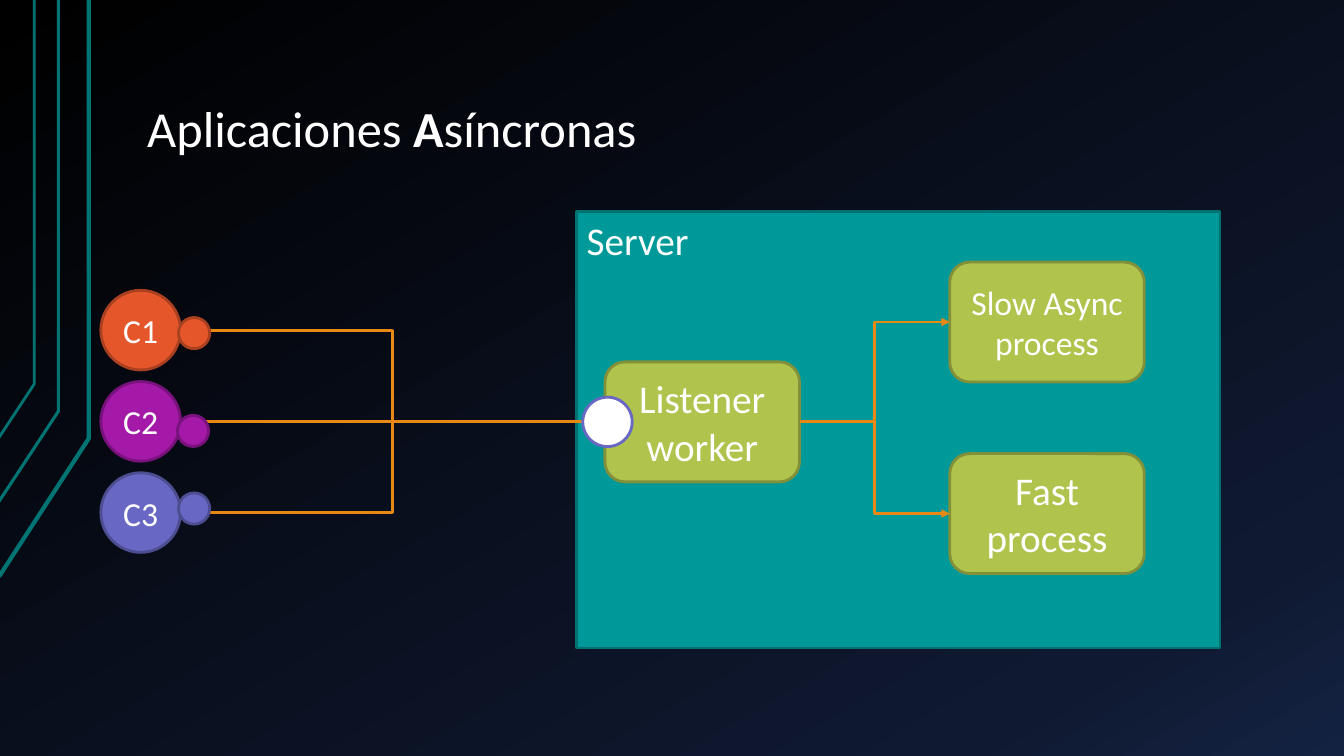
"""Builds the slide on asynchronous applications with python-pptx."""
from copy import deepcopy
from dataclasses import dataclass

from pptx import Presentation
from pptx.dml.color import RGBColor
from pptx.enum.shapes import MSO_CONNECTOR as Connector, MSO_SHAPE as Shape
from pptx.enum.text import MSO_ANCHOR as Anchor, PP_ALIGN as Align
from pptx.oxml.ns import qn
from pptx.util import Inches, Pt
from lxml.etree import SubElement


@dataclass(frozen=True)
class Theme:
    """Colours, type sizes and line widths of the slide."""
    font: str = "Calibri"
    text: str = "FFFFFF"
    rail: str = "007373"
    wire: str = "E98915"
    server: tuple = ("009999", "007171")
    process: tuple = ("AFC34D", "819039")
    socket: tuple = ("FFFFFF", "6868C4")
    background: tuple = ((0, "000000"), (0.85, "0F1931"), (1, "142242"))
    angle: int = 60
    title_size: int = 36
    large: int = 28
    small: int = 24
    line: int = 2


THEME = Theme()
TITLE = (("Aplicaciones ", False), ("A", True), ("síncronas", False))
RAILS = (
    (3, ((-0.01, 5.72), (0.88, 4.35), (0.88, 0))),
    (2.25, ((-0.02, 4.99), (0.58, 4.08), (0.58, 0))),
    (2, ((-0.01, 4.34), (0.34, 3.81), (0.34, 0))),
)
CLIENTS = (
    ("C1", ("E5572B", "A94020"), (1.77, 3.15)),
    ("C2", ("A419A7", "79127C"), (1.76, 4.12)),
    ("C3", ("6868C4", "4D4D91"), (1.77, 4.89)),
)
CLIENT_LEFT, CLIENT_TOP, CLIENT_STEP, CLIENT_SIZE = 1, 2.88, 0.905, 0.79
DOT_SIZE, SOCKET_SIZE = 0.31, 0.49
SERVER_AREA = (5.72, 2.1, 6.38, 4.33)
PROCESS_WIDTH, PROCESS_HEIGHT = 1.93, 1.19
LISTENER = ("Listener worker", 6, 3.59)
PROCESSES = (
    ("Slow Async process", 9.42, 2.6, THEME.small),
    ("Fast process", 9.42, 4.5, THEME.large),
)


def rgb(value):
    return RGBColor.from_string(value)


def style_span(span, size, bold=False):
    span.font.name = THEME.font
    span.font.size = Pt(size)
    span.font.bold = bold
    span.font.color.rgb = rgb(THEME.text)


def paint_background(slide):
    fill = slide.background.fill
    fill.gradient()
    fill.gradient_angle = 360 - THEME.angle
    stops = fill.gradient_stops
    last = stops[1]._gs
    last.addnext(deepcopy(last))
    for stop, (position, color) in zip(fill.gradient_stops, THEME.background):
        stop.position = position
        stop.color.rgb = rgb(color)


def add_rail(slide, width, points):
    start, *rest = [(Inches(x), Inches(y)) for x, y in points]
    builder = slide.shapes.build_freeform(*start)
    builder.add_line_segments(rest, close=False)
    rail = builder.convert_to_shape()
    rail.shadow.inherit = False
    rail.fill.background()
    rail.line.color.rgb = rgb(THEME.rail)
    rail.line.width = Pt(width)


def add_title(slide):
    box = slide.shapes.add_textbox(Inches(1.33), Inches(0.3), Inches(11.33), Inches(1.34))
    frame = box.text_frame
    frame.word_wrap = True
    frame.vertical_anchor = Anchor.BOTTOM
    frame.margin_left = frame.margin_right = Inches(0.13)
    frame.margin_top = frame.margin_bottom = Inches(0.07)
    para = frame.paragraphs[0]
    para.line_spacing = 0.9
    for text, bold in TITLE:
        span = para.add_run()
        span.text = text
        style_span(span, THEME.title_size, bold)


def add_block(slide, kind, area, colors, text="", size=THEME.large,
              anchor=Anchor.MIDDLE, align=Align.CENTER):
    block = slide.shapes.add_shape(kind, *map(Inches, area))
    block.shadow.inherit = False
    block.fill.solid()
    block.fill.fore_color.rgb = rgb(colors[0])
    block.line.color.rgb = rgb(colors[1])
    block.line.width = Pt(THEME.line)
    if text:
        frame = block.text_frame
        frame.text = text
        frame.vertical_anchor = anchor
        para = frame.paragraphs[0]
        para.alignment = align
        style_span(para.runs[0], size)


def add_wire(slide, start, end):
    wire = slide.shapes.add_connector(Connector.ELBOW, *map(Inches, start + end))
    wire.line.color.rgb = rgb(THEME.wire)
    wire.line.width = Pt(THEME.line)
    SubElement(wire.line._get_or_add_ln(), qn("a:tailEnd"), type="triangle")
    SubElement(wire._element.spPr, qn("a:effectLst"))


def main():
    deck = Presentation()
    deck.slide_width, deck.slide_height = Inches(13.33), Inches(7.5)
    slide = deck.slides.add_slide(deck.slide_layouts[6])
    paint_background(slide)
    for width, points in RAILS:
        add_rail(slide, width, points)
    add_title(slide)

    add_block(slide, Shape.RECTANGLE, SERVER_AREA, THEME.server, "Server",
              anchor=Anchor.TOP, align=Align.LEFT)
    name, left, top = LISTENER
    middle = top + PROCESS_HEIGHT / 2
    add_block(slide, Shape.ROUNDED_RECTANGLE,
              (left, top, PROCESS_WIDTH, PROCESS_HEIGHT), THEME.process, name)

    for index, (label, colors, dot) in enumerate(CLIENTS):
        client_top = CLIENT_TOP + index * CLIENT_STEP
        add_block(slide, Shape.OVAL, (CLIENT_LEFT, client_top, CLIENT_SIZE, CLIENT_SIZE),
                  colors, label, THEME.small)
        add_wire(slide, (CLIENT_LEFT + CLIENT_SIZE, client_top + CLIENT_SIZE / 2),
                 (left, middle))
        add_block(slide, Shape.OVAL, (*dot, DOT_SIZE, DOT_SIZE), colors)

    for text, process_left, process_top, size in PROCESSES:
        add_block(slide, Shape.ROUNDED_RECTANGLE,
                  (process_left, process_top, PROCESS_WIDTH, PROCESS_HEIGHT),
                  THEME.process, text, size)
        add_wire(slide, (left + PROCESS_WIDTH, middle),
                 (process_left, process_top + PROCESS_HEIGHT / 2))

    add_block(slide, Shape.OVAL, (5.78, middle - SOCKET_SIZE / 2, SOCKET_SIZE, SOCKET_SIZE),
              THEME.socket)
    deck.save("out.pptx")


if __name__ == "__main__":
    main()
